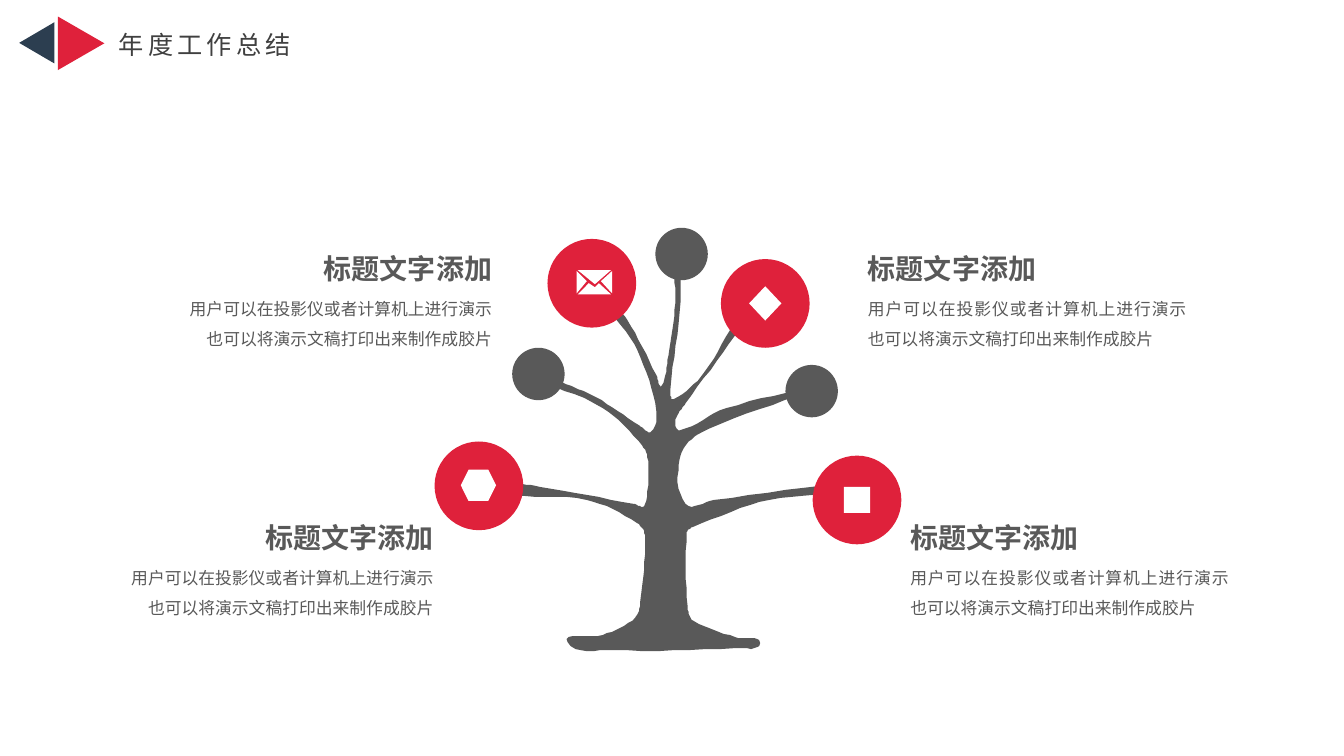
from dataclasses import dataclass
from math import dist

from pptx import Presentation
from pptx.dml.color import RGBColor
from pptx.enum.shapes import MSO_SHAPE
from pptx.enum.text import MSO_AUTO_SIZE, PP_ALIGN
from pptx.oxml.ns import qn
from pptx.util import Emu, Pt

PX = 9144  # 100 px to the inch
CURVE_STEPS = 8
ELLIPSE, TRIANGLE = MSO_SHAPE.OVAL, MSO_SHAPE.ISOSCELES_TRIANGLE
DIAMOND, SQUARE, HEXAGON = MSO_SHAPE.DIAMOND, MSO_SHAPE.RECTANGLE, MSO_SHAPE.HEXAGON
LEFT, RIGHT, JUSTIFY = PP_ALIGN.LEFT, PP_ALIGN.RIGHT, PP_ALIGN.JUSTIFY
FIT = MSO_AUTO_SIZE.SHAPE_TO_FIT_TEXT


@dataclass(frozen=True)
class Theme:
    font: str = "Noto Sans CJK SC"
    red: str = "DF213B"
    navy: str = "2C3E50"
    grey: str = "595959"
    ink: str = "404040"
    white: str = "FFFFFF"
    header_size: int = 18
    heading_size: int = 20
    body_size: int = 12


class TreeSlide:
    def __init__(self, deck, theme):
        self.theme = theme
        self.shapes = deck.slides.add_slide(deck.slide_layouts[6]).shapes

    def paint(self, shape, color):
        shape.shadow.inherit = False
        shape.fill.solid()
        shape.fill.fore_color.rgb = RGBColor.from_string(color)
        shape.line.fill.background()

    def shape(self, kind, box, color, rotation=0):
        shape = self.shapes.add_shape(kind, *(Emu(v * PX) for v in box))
        shape.rotation = rotation
        self.paint(shape, color)

    def outline(self, contours, color):
        builder = self.shapes.build_freeform(*contours[0][0], scale=PX)
        for index, (start, *rest) in enumerate(contours):
            if index:
                builder.move_to(*start)
            builder.add_line_segments(rest, close=True)
        self.paint(builder.convert_to_shape(), color)

    def text(self, words, box, size, color, align, wrap=True, spacing=1.0, bold=False, tracking=0):
        frame = self.shapes.add_textbox(*(Emu(v * PX) for v in box)).text_frame
        frame.word_wrap = wrap
        frame.auto_size = FIT
        paragraph = frame.paragraphs[0]
        paragraph.alignment = align
        paragraph.line_spacing = spacing
        run = paragraph.add_run()
        run.text = words
        style = {"name": self.theme.font, "size": Pt(size), "bold": bold}
        for key, value in style.items():
            setattr(run.font, key, value)
        run.font.color.rgb = RGBColor.from_string(color)
        properties = run._r.get_or_add_rPr()
        east_asian = properties.makeelement(qn("a:ea"), {"typeface": self.theme.font})
        properties.find(qn("a:latin")).addnext(east_asian)
        if tracking:
            properties.set("spc", str(tracking * 100))

    def caption(self, left, top, align):
        theme = self.theme
        heading_left = left + 112 if align == RIGHT else left
        self.text(BODY, (left, top + 43, 336, 67), theme.body_size, theme.grey, align, spacing=1.5)
        self.text(HEADING, (heading_left, top, 224, 47), theme.heading_size, theme.grey, align,
                  spacing=1.2, bold=True)


def smooth(anchors):
    """Run a closed curve through the anchors, each tangent parallel to its neighbours' chord."""
    points = []
    count = len(anchors)
    for i, start in enumerate(anchors):
        before, end, after = anchors[i - 1], anchors[(i + 1) % count], anchors[(i + 2) % count]
        reach = dist(start, end)
        for step in range(CURVE_STEPS):
            t = step / CURVE_STEPS
            leave = t * (1 - t) ** 2 * reach / dist(before, end)
            arrive = t * t * (1 - t) * reach / dist(start, after)
            blend = t * t * (3 - 2 * t)
            points.append(tuple(
                s + (e - s) * blend + (e - b) * leave - (a - s) * arrive
                for b, s, e, a in zip(before, start, end, after)))
    return points


HEADER = "年度工作总结"
HEADING = "标题文字添加"
BODY = "用户可以在投影仪或者计算机上进行演示也可以将演示文稿打印出来制作成胶片"

TREE = [
    # Left branches
    (669, 262), (670, 300), (663, 353), (656, 383), (651, 372), (622, 317), (605, 298),
    (600, 300), (632, 347), (651, 408), (646, 428), (634, 422), (591, 394), (543, 373),
    (525, 365), (522, 371), (598, 405), (637, 442), (643, 462), (639, 502), (629, 500),
    (535, 483), (500, 480), (500, 490), (582, 496), (632, 519),
    # Trunk and ground
    (640, 533), (635, 597), (630, 613), (598, 630), (563, 637), (607, 645), (729, 643),
    (754, 638), (729, 632), (688, 616), (682, 601), (681, 529),
    # Right branches
    (687, 523), (763, 496), (850, 487), (850, 479), (708, 496), (680, 500), (674, 456),
    (692, 431), (791, 393), (815, 388), (815, 383), (720, 405), (674, 427), (670, 416),
    (680, 400), (729, 333), (740, 315), (734, 312), (698, 370), (668, 396), (665, 386),
    (675, 300), (673, 262),
]
GREY_FRUITS = [(650, 226), (508, 345), (779, 362)]
RED_FRUITS = [(543, 237), (715, 257), (431, 438), (806, 452)]
EMBLEMS = [(DIAMOND, (743, 284, 32, 34)), (HEXAGON, (457, 466, 35, 31)), (SQUARE, (837, 483, 26, 26))]
CAPTIONS = [(104, 505, RIGHT), (893, 505, JUSTIFY), (851, 238, JUSTIFY), (162, 238, RIGHT)]


def envelope(left, top, right, bottom):
    middle, fold = (left + right) / 2, (top + bottom) / 2
    flap = [(left + 1, top), (right - 1, top), (middle, fold + 2)]
    sides = [[(edge, top + 1), (edge, bottom - 1), (middle + lean, fold - 1)]
             for edge, lean in ((left, -7), (right, 7))]
    base = [(left + 1, bottom), (middle - 5, fold + 1), (middle, fold + 5),
            (middle + 5, fold + 1), (right - 1, bottom)]
    return [flap, *sides, base]


def main():
    theme = Theme()
    deck = Presentation()
    deck.slide_width, deck.slide_height = Emu(1333 * PX), Emu(750 * PX)
    slide = TreeSlide(deck, theme)

    # Tree with its fruits
    slide.outline([smooth(TREE)], theme.grey)
    for left, top in GREY_FRUITS:
        slide.shape(ELLIPSE, (left, top, 52, 52), theme.grey)
    for left, top in RED_FRUITS:
        slide.shape(ELLIPSE, (left, top, 88, 88), theme.red)

    # Signs on the red fruits
    slide.outline(envelope(572, 268, 607, 292), theme.white)
    for kind, box in EMBLEMS:
        slide.shape(kind, box, theme.white)

    # Captions
    for left, top, align in CAPTIONS:
        slide.caption(left, top, align)

    # Header
    slide.shape(TRIANGLE, (16, 25, 41, 35), theme.navy, rotation=270)
    slide.shape(TRIANGLE, (54, 20, 53, 46), theme.red, rotation=90)
    slide.text(HEADER, (108, 24, 197, 40), theme.header_size, theme.ink, LEFT, wrap=False, tracking=3)

    deck.save("out.pptx")


if __name__ == "__main__":
    main()
